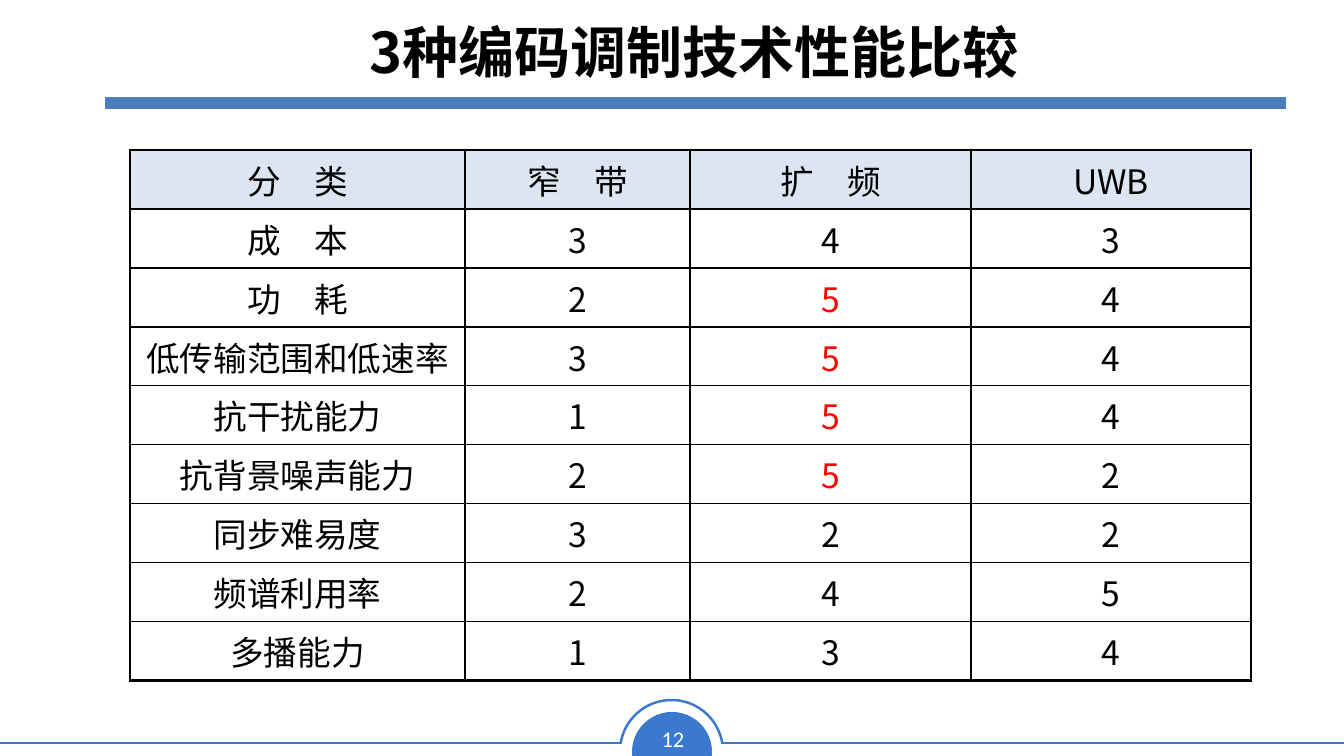
import dataclasses
import typing

import pptx
import pptx.dml.color
import pptx.enum.shapes
import pptx.enum.text
import pptx.oxml.ns
import pptx.util
from lxml import etree

RGB = pptx.dml.color.RGBColor
BLACK = RGB(0x00, 0x00, 0x00)
WHITE = RGB(0xFF, 0xFF, 0xFF)
RED = RGB(0xFF, 0x00, 0x00)
BLUE = RGB(0x3B, 0x79, 0xCE)
STEEL = RGB(0x4B, 0x7E, 0xBC)
PALE = RGB(0xDC, 0xE6, 0xF2)
NOTO = "Noto Sans CJK SC"
SCALE = 914400 / 100.8
KIND = pptx.enum.shapes.MSO_SHAPE
MID = pptx.enum.text.MSO_ANCHOR.MIDDLE
CENTER = pptx.enum.text.PP_ALIGN.CENTER

ROWS = [
    ["分　类", "窄　带", "扩　频", "UWB"],
    ["成　本", "3", "4", "3"],
    ["功　耗", "2", "5", "4"],
    ["低传输范围和低速率", "3", "5", "4"],
    ["抗干扰能力", "1", "5", "4"],
    ["抗背景噪声能力", "2", "5", "2"],
    ["同步难易度", "3", "2", "2"],
    ["频谱利用率", "2", "4", "5"],
    ["多播能力", "1", "3", "4"],
]
WIDTHS = [335, 225, 281, 280]
HEIGHT = 59
SPREAD = 2


@dataclasses.dataclass
class Rule:
    start: int
    end: int
    top: int
    weight: float
    color: RGB


@dataclasses.dataclass
class Badge:
    kind: KIND
    left: int
    top: int
    size: int
    turn: float
    angles: tuple[float, float]
    fill: RGB | None
    line: RGB | None


BADGES = [
    Badge(KIND.CHORD, 632, 712, 80, 112.4, (35.77, 153.29), BLUE, None),
    Badge(KIND.ARC, 620, 700, 103, 0, (113.17, 210.98), None, BLUE),
]
RULES = [
    Rule(723, 1344, 743, 1.77, BLUE),
    Rule(0, 621, 743, 1.77, BLUE),
    Rule(105, 1286, 103, 8, STEEL),
]


def px(count: int) -> int:
    return round(count * SCALE)


def style(item: typing.Any, values: dict[str, typing.Any]) -> None:
    for name, value in values.items():
        setattr(item, name, value)


def write(frame: typing.Any, text: str, size: int, face: str, color: RGB, bold: bool = False) -> None:
    line = frame.paragraphs[0]
    line.alignment = CENTER
    run = line.add_run()
    run.text = text
    style(run.font, {"size": pptx.util.Pt(size), "name": face, "bold": bold})
    run.font.color.rgb = color
    props = run.font._element
    etree.SubElement(props, pptx.oxml.ns.qn("a:ea"), typeface=face)


def add_rule(slide: typing.Any, rule: Rule) -> None:
    line = slide.shapes.add_connector(
        pptx.enum.shapes.MSO_CONNECTOR.STRAIGHT,
        px(rule.start), px(rule.top), px(rule.end), px(rule.top))
    line.line.color.rgb = rule.color
    line.line.width = pptx.util.Pt(rule.weight)
    etree.SubElement(line._element.spPr, pptx.oxml.ns.qn("a:effectLst"))


def add_badge(slide: typing.Any, badge: Badge) -> None:
    shape = slide.shapes.add_shape(
        badge.kind, px(badge.left), px(badge.top), px(badge.size), px(badge.size))
    shape.rotation = badge.turn
    shape.shadow.inherit = False
    for index, angle in enumerate(badge.angles):
        shape.adjustments[index] = angle
    for paint, color in ((shape.fill, badge.fill), (shape.line.fill, badge.line)):
        if color is None:
            paint.background()
        else:
            paint.solid()
            paint.fore_color.rgb = color
    if badge.line is not None:
        shape.line.width = pptx.util.Pt(1.77)


def add_edge(cell: typing.Any, side: str, weight: float) -> None:
    props = cell._tc.get_or_add_tcPr()
    edge = etree.SubElement(
        props, pptx.oxml.ns.qn(f"a:ln{side}"), w=str(pptx.util.Pt(weight)))
    solid = etree.SubElement(edge, pptx.oxml.ns.qn("a:solidFill"))
    etree.SubElement(solid, pptx.oxml.ns.qn("a:srgbClr"), val=str(BLACK))


def add_grid(slide: typing.Any) -> None:
    last_row, last_col = len(ROWS) - 1, len(WIDTHS) - 1
    grid = slide.shapes.add_table(
        len(ROWS), len(WIDTHS), px(130), px(150),
        px(sum(WIDTHS)), px(HEIGHT * len(ROWS))).table
    style(grid, {"first_row": False, "horz_banding": False})
    for column, width in zip(grid.columns, WIDTHS):
        column.width = px(width)
    for r, texts in enumerate(ROWS):
        grid.rows[r].height = px(HEIGHT)
        for c, text in enumerate(texts):
            cell = grid.cell(r, c)
            cell.vertical_anchor = MID
            outer = {"L": c == 0, "R": c == last_col, "T": r == 0, "B": r == last_row}
            for side, thick in outer.items():
                add_edge(cell, side, 2.25 if thick else 1)
            if r == 0:
                cell.fill.solid()
                cell.fill.fore_color.rgb = PALE
            else:
                cell.fill.background()
            best = c == SPREAD and text == "5"
            write(cell.text_frame, text, 24, NOTO, RED if best else BLACK)


def main() -> None:
    deck = pptx.Presentation()
    style(deck, {"slide_width": px(1344), "slide_height": px(756)})
    slide = deck.slides.add_slide(deck.slide_layouts[5])

    title = slide.shapes.title
    style(title, {"left": px(105), "top": px(5), "width": px(1178), "height": px(93)})
    title.text_frame.vertical_anchor = MID
    write(title.text_frame, "3种编码调制技术性能比较", 40, NOTO, BLACK, True)

    for badge in BADGES:
        add_badge(slide, badge)
    for rule in RULES:
        add_rule(slide, rule)

    label = slide.shapes.add_textbox(px(650), px(720), px(46), px(37))
    label.text_frame.word_wrap = False
    write(label.text_frame, "12", 16, "Calibri", WHITE)
    add_grid(slide)
    deck.save("out.pptx")


if __name__ == "__main__":
    main()
